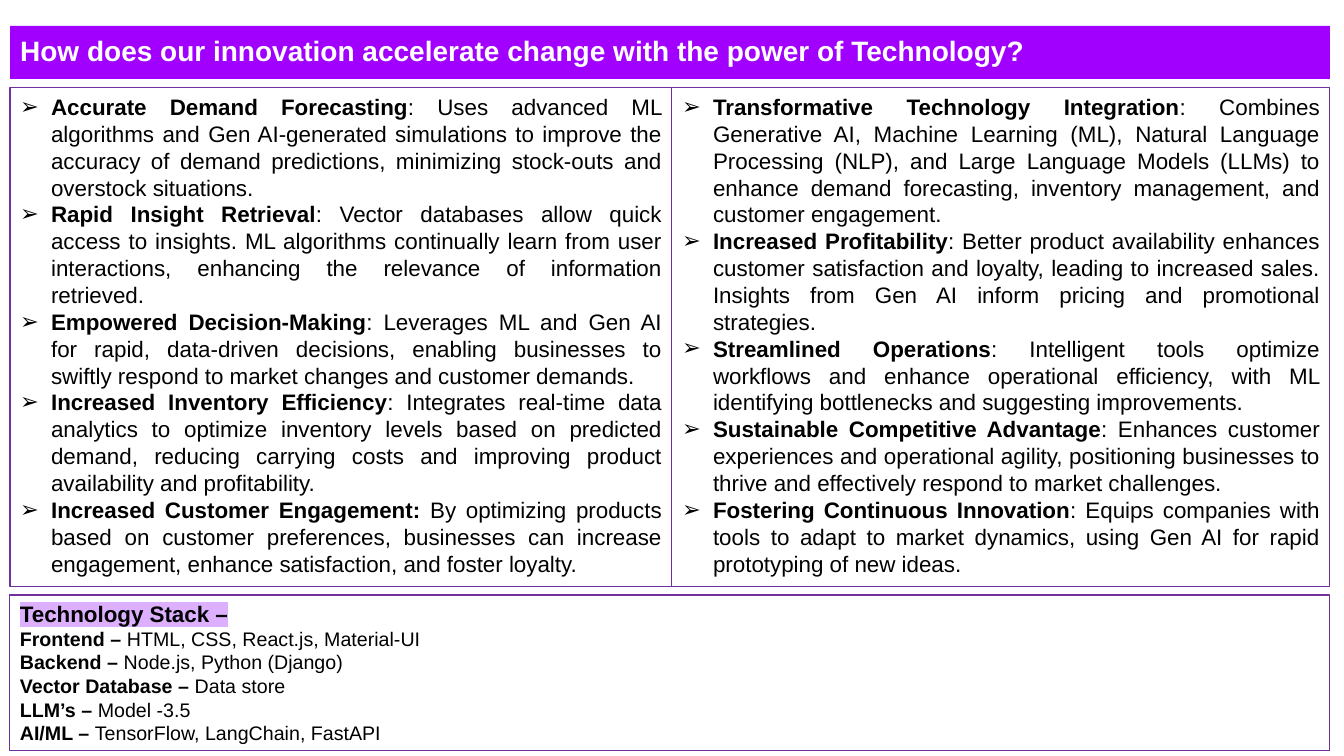
from lxml.etree import SubElement
from pptx import Presentation
from pptx.dml.color import RGBColor
from pptx.enum.text import MSO_ANCHOR, MSO_AUTO_SIZE, PP_ALIGN
from pptx.oxml.ns import qn
from pptx.util import Pt

PX = 12192000 / 1344  # EMU in one px
THEME = {
    "font": "Arial",
    "banner": RGBColor(0xA1, 0x00, 0xFF),
    "border": RGBColor(0x70, 0x30, 0xA0),
    "white": RGBColor(0xFF, 0xFF, 0xFF),
    "text": RGBColor(0x00, 0x00, 0x00),
    "highlight": "DCAFFF",
    "title_size": Pt(20),
    "body_size": Pt(16),
    "stack_size": Pt(14),
    "border_width": Pt(0.75),
}
BODY_PARAGRAPH = {"alignment": PP_ALIGN.JUSTIFY, "line_spacing": 1.0,
                  "space_before": Pt(0), "space_after": Pt(0)}
TITLE_PARAGRAPH = BODY_PARAGRAPH | {"alignment": PP_ALIGN.LEFT, "line_spacing": 0.9}

TITLE = "How does our innovation accelerate change with the power of Technology?"
BENEFITS = [
    ("Accurate Demand Forecasting", ": Uses advanced ML algorithms and Gen AI-generated simulations to improve the accuracy of demand predictions, minimizing stock-outs and overstock situations."),
    ("Rapid Insight Retrieval", ": Vector databases allow quick access to insights. ML algorithms continually learn from user interactions, enhancing the relevance of information retrieved."),
    ("Empowered Decision-Making", ": Leverages ML and Gen AI for rapid, data-driven decisions, enabling businesses to swiftly respond to market changes and customer demands."),
    ("Increased Inventory Efficiency", ": Integrates real-time data analytics to optimize inventory levels based on predicted demand, reducing carrying costs and improving product availability and profitability."),
    ("Increased Customer Engagement: ", "By optimizing products based on customer preferences, businesses can increase engagement, enhance satisfaction, and foster loyalty."),
]
IMPACTS = [
    ("Transformative Technology Integration", ": Combines Generative AI, Machine Learning (ML), Natural Language Processing (NLP), and Large Language Models (LLMs) to enhance demand forecasting, inventory management, and customer engagement."),
    ("Increased Profitability", ": Better product availability enhances customer satisfaction and loyalty, leading to increased sales. Insights from Gen AI inform pricing and promotional strategies."),
    ("Streamlined Operations", ": Intelligent tools optimize workflows and enhance operational efficiency, with ML identifying bottlenecks and suggesting improvements."),
    ("Sustainable Competitive Advantage", ": Enhances customer experiences and operational agility, positioning businesses to thrive and effectively respond to market challenges."),
    ("Fostering Continuous Innovation", ": Equips companies with tools to adapt to market dynamics, using Gen AI for rapid prototyping of new ideas."),
]
STACK = [
    ("Technology Stack –", ""),
    ("Frontend – ", "HTML, CSS, React.js, Material-UI"),
    ("Backend – ", "Node.js, Python (Django)"),
    ("Vector Database – ", "Data store"),
    ("LLM’s – ", "Model -3.5"),
    ("AI/ML – ", "TensorFlow, LangChain, FastAPI"),
]


def place(shape, left, top, width, height):
    box = {"left": left, "top": top, "width": width, "height": height}
    for name, length in box.items():
        setattr(shape, name, round(length * PX))


def write_paragraphs(frame, entries, size, color, paragraph_format):
    """Write each (bold lead, plain rest) pair as one paragraph."""
    for index, entry in enumerate(entries):
        paragraph = frame.add_paragraph() if index else frame.paragraphs[0]
        for name, value in paragraph_format.items():
            setattr(paragraph, name, value)
        for text, bold in zip(entry, (True, False)):
            if text:
                run = paragraph.add_run()
                run.text = text
                run.font.color.rgb = color
                font_format = {"name": THEME["font"], "size": size, "bold": bold}
                for name, value in font_format.items():
                    setattr(run.font, name, value)


presentation = Presentation()
presentation.slide_width = round(1344 * PX)
presentation.slide_height = round(756 * PX)
slide = presentation.slides.add_slide(presentation.slide_layouts.get_by_name("Two Content"))

# Title banner
title = slide.shapes.title
place(title, 10, 26, 1320, 53)
title.fill.solid()
title.fill.fore_color.rgb = THEME["banner"]
title.text_frame.vertical_anchor = MSO_ANCHOR.MIDDLE
title.text_frame.auto_size = MSO_AUTO_SIZE.NONE
write_paragraphs(title.text_frame, [(TITLE, "")], THEME["title_size"], THEME["white"], TITLE_PARAGRAPH)

# Two bulleted columns above the technology stack
benefits, impacts = slide.placeholders[1], slide.placeholders[2]
stack = slide.shapes.add_textbox(0, 0, 0, 0)
panels = [
    (benefits, (10, 88, 662, 499), BENEFITS),
    (impacts, (672, 88, 658, 499), IMPACTS),
    (stack, (10, 595, 1320, 156), STACK),
]
for panel, box, entries in panels:
    place(panel, *box)
    panel.line.color.rgb = THEME["border"]
    panel.line.width = THEME["border_width"]
    frame_format = {"word_wrap": True, "vertical_anchor": MSO_ANCHOR.TOP,
                    "auto_size": MSO_AUTO_SIZE.NONE}
    for name, value in frame_format.items():
        setattr(panel.text_frame, name, value)
    size = THEME["stack_size"] if panel is stack else THEME["body_size"]
    write_paragraphs(panel.text_frame, entries, size, THEME["text"], BODY_PARAGRAPH)

# Arrow bullets with a hanging indent
for column in (benefits, impacts):
    for paragraph in column.text_frame.paragraphs:
        properties = paragraph._p.get_or_add_pPr()
        properties.set("marL", str(round(31 * PX)))
        properties.set("indent", str(round(-31 * PX)))
        SubElement(properties, qn("a:buFont"), typeface=THEME["font"])
        SubElement(properties, qn("a:buChar"), char="➢")

# Highlighted stack heading
heading = stack.text_frame.paragraphs[0].runs[0]
heading.font.size = THEME["body_size"]
run_properties = heading._r.get_or_add_rPr()
highlight = SubElement(run_properties, qn("a:highlight"))
SubElement(highlight, qn("a:srgbClr"), val=THEME["highlight"])
run_properties.find(qn("a:solidFill")).addnext(highlight)

presentation.save("out.pptx")
